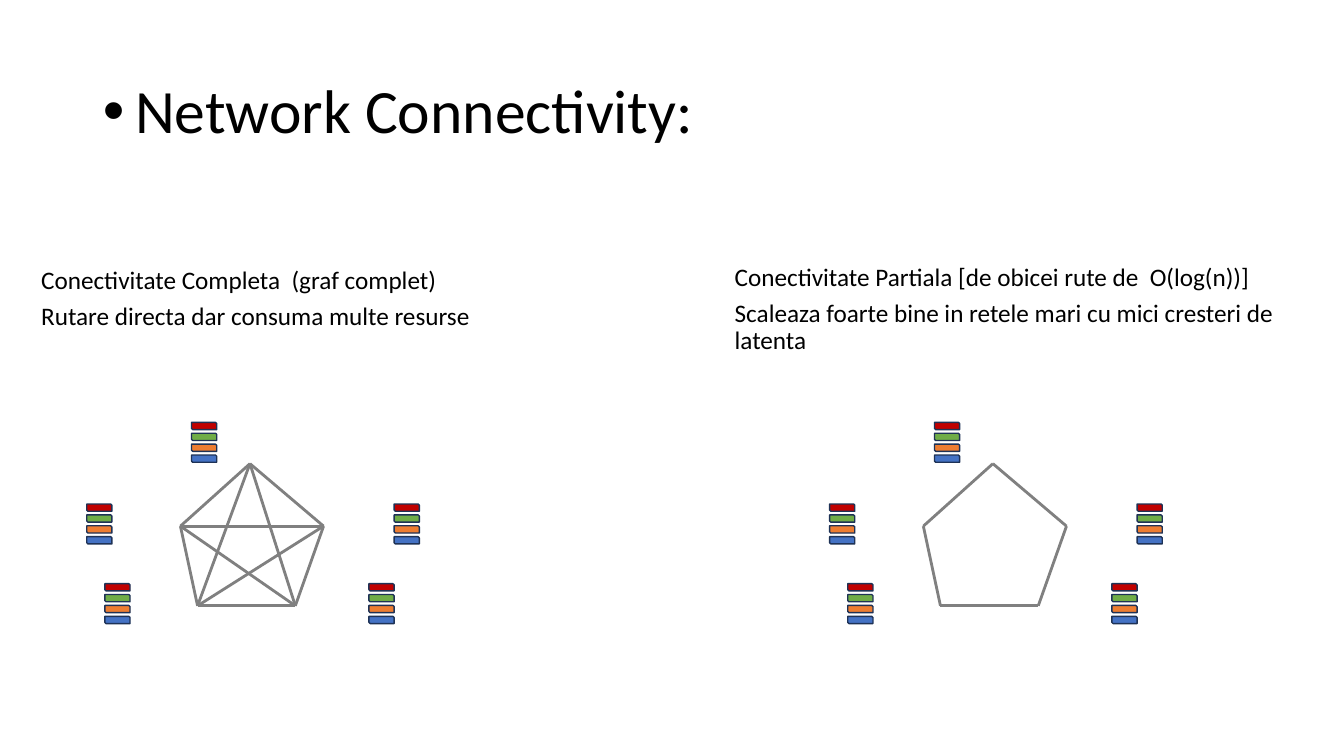
from itertools import combinations

from lxml import etree
from pptx import Presentation
from pptx import util as u
from pptx.dml import color
from pptx.enum import shapes, text
from pptx.oxml import ns

COLUMNS, ROWS = 133.33, 75
TILE_COLOURS = ["C00000", "70AD47", "ED7D31", "4472C4"]
TOWERS = [(19, 41.9), (39.1, 50), (36.6, 57.9), (10.4, 57.9), (8.6, 50)]
VERTICES = [(24.8, 46), (32.1, 52.2), (29.3, 60.1), (19.6, 60.1), (17.9, 52.2)]
PARTIAL_SHIFT = 73.7


def colour(value):
    return color.RGBColor.from_string(value)


def write(paragraph, words, size=18, ink="000000", font="Calibri", bullet=None, indent=0.32):
    paragraph.alignment = text.PP_ALIGN.LEFT
    if bullet:
        properties = paragraph._p.get_or_add_pPr()
        properties.set("marL", str(u.Inches(indent)))
        properties.set("indent", str(-u.Inches(indent)))
        etree.SubElement(properties, ns.qn("a:buFont")).set("typeface", "Arial")
        etree.SubElement(properties, ns.qn("a:buChar")).set("char", bullet)
    paragraph.line_spacing = 0.9
    paragraph.space_after = u.Pt(6.1)
    span = paragraph.add_run()
    span.text = words
    span.font.size = u.Pt(size)
    span.font.name = font
    span.font.color.rgb = colour(ink)


class NetworkSlide:
    edge, outline = "808080", "1E3256"
    tile_width, tile_height, tile_pitch = 2.5, 0.72, 1.08

    def __init__(self, deck):
        self.cell_width = deck.slide_width / COLUMNS
        self.cell_height = deck.slide_height / ROWS
        self.page = deck.slides.add_slide(deck.slide_layouts.get_by_name("Title Only"))

    def place(self, *lengths):
        scales = (self.cell_width, self.cell_height) * 2
        return [u.Emu(round(length * scale)) for length, scale in zip(lengths, scales)]

    def title(self, words, *area):
        box = self.page.shapes.title
        box.left, box.top, box.width, box.height = self.place(*area)
        frame = box.text_frame
        frame.auto_size = text.MSO_AUTO_SIZE.NONE
        frame.vertical_anchor = text.MSO_ANCHOR.MIDDLE
        write(frame.paragraphs[0], words, size=44, bullet="•")

    def caption(self, lines, *area):
        frame = self.page.shapes.add_textbox(*self.place(*area)).text_frame
        frame.word_wrap = True
        frame.auto_size = text.MSO_AUTO_SIZE.SHAPE_TO_FIT_TEXT
        for index, words in enumerate(lines):
            write(frame.add_paragraph() if index else frame.paragraphs[0], words)

    def link(self, start, end):
        line = self.page.shapes.add_connector(
            shapes.MSO_CONNECTOR.STRAIGHT, *self.place(*start, *end))
        line.line.color.rgb = colour(self.edge)
        line.line.width = u.Pt(2)
        etree.SubElement(line._element.spPr, ns.qn("a:effectLst"))

    def tower(self, left, top):
        for level, fill in enumerate(TILE_COLOURS):
            tile = self.page.shapes.add_shape(
                shapes.MSO_SHAPE.SNIP_2_DIAG_RECTANGLE,
                *self.place(left, top + level * self.tile_pitch,
                            self.tile_width, self.tile_height))
            tile.shadow.inherit = False
            tile.fill.solid()
            tile.fill.fore_color.rgb = colour(fill)
            tile.line.color.rgb = colour(self.outline)
            tile.line.width = u.Pt(1)

    def network(self, links, shift=0):
        for first, second in links:
            ends = [(VERTICES[node][0] + shift, VERTICES[node][1]) for node in (first, second)]
            self.link(*ends)
        for left, top in TOWERS:
            self.tower(left + shift, top)


def main():
    deck = Presentation()
    deck.slide_width, deck.slide_height = u.Inches(13.33), u.Inches(7.5)
    slide = NetworkSlide(deck)
    slide.title("Network Connectivity:", 9.2, 4, 115, 14.5)
    slide.caption(["Conectivitate Completa  (graf complet)",
                   "Rutare directa dar consuma multe resurse"], 3.1, 26.1, 45.6, 11.2)
    slide.caption(["Conectivitate Partiala [de obicei rute de  O(log(n))]",
                   "Scaleaza foarte bine in retele mari cu mici cresteri de latenta"],
                  71.9, 25.8, 55.9, 10)
    nodes = range(len(VERTICES))
    slide.network(combinations(nodes, 2))
    slide.network([(node, (node + 1) % len(nodes)) for node in nodes], PARTIAL_SHIFT)
    deck.save("out.pptx")


if __name__ == "__main__":
    main()
